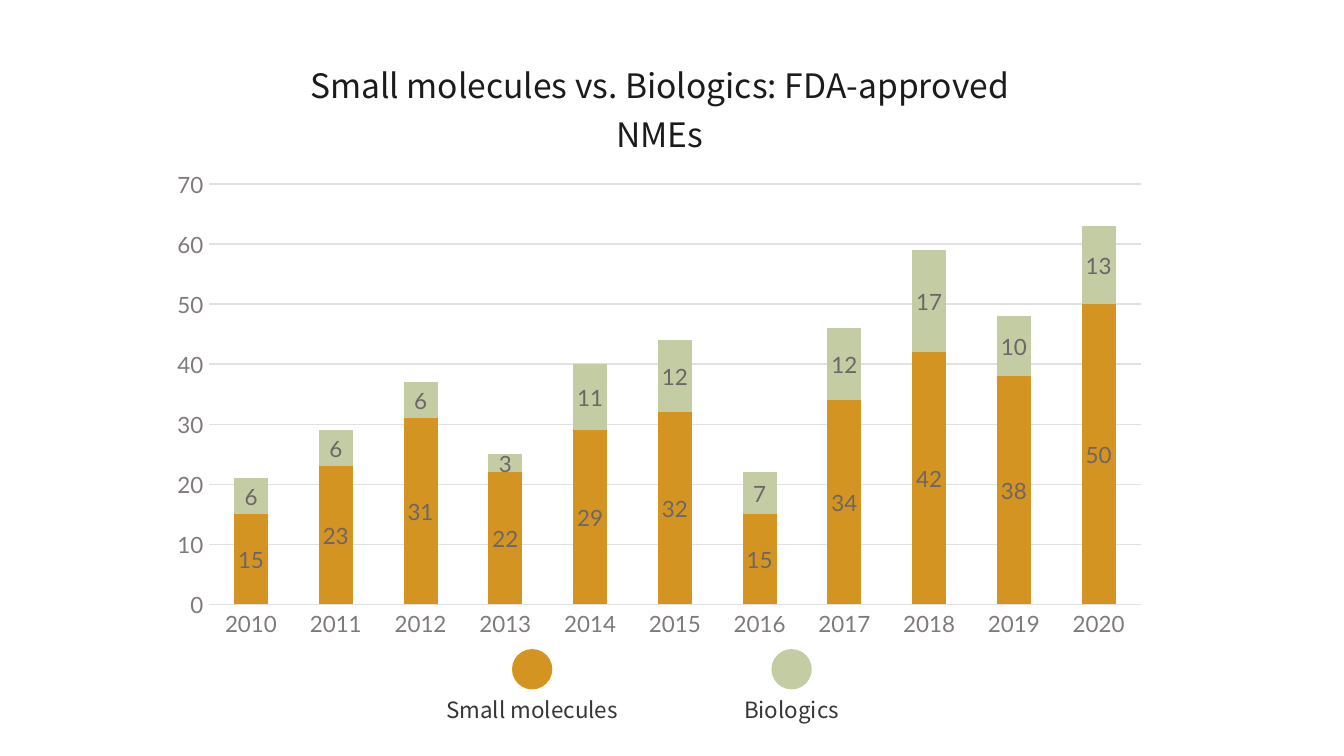
from dataclasses import dataclass

import pptx
import pptx.chart.data
import pptx.dml.color
import pptx.enum.chart
import pptx.enum.shapes
import pptx.enum.text
import pptx.util
from lxml import etree
from pptx.oxml.ns import qn
from pptx.util import Inches


@dataclass(frozen=True)
class Theme:
    heading_font: str = "Noto Sans CJK JP"
    chart_font: str = "Lato"
    title: str = "1C1A1B"
    text: str = "383536"
    axis: str = "80797C"
    value: str = "6C6668"
    grid: str = "E2E0E1"
    small_molecules: str = "D49421"
    biologics: str = "C3CCA2"
    title_size: int = 18
    label_size: int = 12
    base_size: int = 10


THEME = Theme()
YEARS = [str(year) for year in range(2010, 2021)]
# series name, values, colour
SERIES = [
    ("Series 1", (15, 23, 31, 22, 29, 32, 15, 34, 42, 38, 50),
     THEME.small_molecules),
    ("Series 2", (6, 6, 6, 3, 11, 12, 7, 12, 17, 10, 13), THEME.biologics),
]
# label, colour, horizontal centre
LEGEND = [
    ("Small molecules", THEME.small_molecules, 3.96),
    ("Biologics", THEME.biologics, 5.89),
]


def rgb(color):
    return pptx.dml.color.RGBColor.from_string(color)


def style_font(font, name, size, color):
    font.name = name
    font.size = pptx.util.Pt(size)
    font.color.rgb = rgb(color)
    font.bold = False


def style_line(line, color):
    line.color.rgb = rgb(color)
    line.width = pptx.util.Pt(0.75)


def set_plot_layout(chart, **fractions):
    """Place the plot's inner area, in fractions of the chart's size."""
    plot_area = chart.element.find(f".//{qn('c:plotArea')}")
    layout = plot_area.find(qn("c:layout"))
    if layout is None:
        layout = etree.Element(qn("c:layout"))
        plot_area.insert(0, layout)
    manual = etree.SubElement(layout, qn("c:manualLayout"))
    settings = {"layoutTarget": "inner", "xMode": "edge", "yMode": "edge",
                **fractions}
    for tag, value in settings.items():
        etree.SubElement(manual, qn(f"c:{tag}")).set("val", str(value))


def style_axis(axis):
    axis.major_tick_mark = pptx.enum.chart.XL_TICK_MARK.NONE
    axis.minor_tick_mark = pptx.enum.chart.XL_TICK_MARK.NONE
    style_font(axis.tick_labels.font, THEME.chart_font, THEME.label_size,
               THEME.axis)


def add_title(chart, text):
    tf = chart.chart_title.text_frame
    tf.text = text
    style_font(tf.paragraphs[0].font, THEME.heading_font, THEME.title_size,
               THEME.title)
    chart.chart_title.include_in_layout = False


def add_approvals_chart(slide):
    data = pptx.chart.data.CategoryChartData(number_format="0")
    data.categories = YEARS
    for name, values, _ in SERIES:
        data.add_series(name, values)
    chart = slide.shapes.add_chart(
        pptx.enum.chart.XL_CHART_TYPE.COLUMN_STACKED, Inches(1.18),
        Inches(0.22), Inches(7.46), Inches(4.6), data).chart
    style_font(chart.font, THEME.chart_font, THEME.base_size, THEME.text)
    chart.has_legend = False
    add_title(chart, "Small molecules vs. Biologics: FDA-approved NMEs")

    style_axis(chart.category_axis)
    style_line(chart.category_axis.format.line, THEME.grid)
    value_axis = chart.value_axis
    style_axis(value_axis)
    value_axis.minimum_scale, value_axis.maximum_scale = 0, 70
    value_axis.major_unit = 10
    value_axis.format.line.fill.background()
    style_line(value_axis.major_gridlines.format.line, THEME.grid)

    plot = chart.plots[0]
    plot.gap_width, plot.overlap = 150, 100
    plot.vary_by_categories = False
    for series, (_, _, color) in zip(plot.series, SERIES):
        series.format.fill.solid()
        series.format.fill.fore_color.rgb = rgb(color)
        labels = series.data_labels
        labels.show_value = True
        labels.position = pptx.enum.chart.XL_LABEL_POSITION.CENTER
        style_font(labels.font, THEME.chart_font, THEME.label_size,
                   THEME.value)
    set_plot_layout(chart, x=0.05, y=0.25, w=0.93, h=0.68)


def add_legend_entry(slide, name, color, center):
    diameter, width = 0.3, 1.71
    sp = slide.shapes.add_shape(
        pptx.enum.shapes.MSO_SHAPE.OVAL, Inches(center - diameter / 2),
        Inches(4.83), Inches(diameter), Inches(diameter))
    sp.shadow.inherit = False
    sp.fill.solid()
    sp.fill.fore_color.rgb = rgb(color)
    sp.line.fill.background()

    box = slide.shapes.add_textbox(Inches(center - width / 2), Inches(5.05),
                                   Inches(width), Inches(0.43))
    tf = box.text_frame
    tf.word_wrap = True
    tf.vertical_anchor = pptx.enum.text.MSO_ANCHOR.BOTTOM
    tf.margin_left = tf.margin_right = Inches(0.1)
    tf.margin_top = tf.margin_bottom = Inches(0.1)
    p = tf.paragraphs[0]
    p.text = name
    p.alignment = pptx.enum.text.PP_ALIGN.CENTER
    style_font(p.font, THEME.heading_font, THEME.label_size, THEME.text)


def main():
    prs = pptx.Presentation()
    prs.slide_width = Inches(10)
    prs.slide_height = prs.slide_width * 9 // 16
    slide = prs.slides.add_slide(prs.slide_layouts[6])
    add_approvals_chart(slide)
    for name, color, center in LEGEND:
        add_legend_entry(slide, name, color, center)
    prs.save("out.pptx")


if __name__ == "__main__":
    main()
